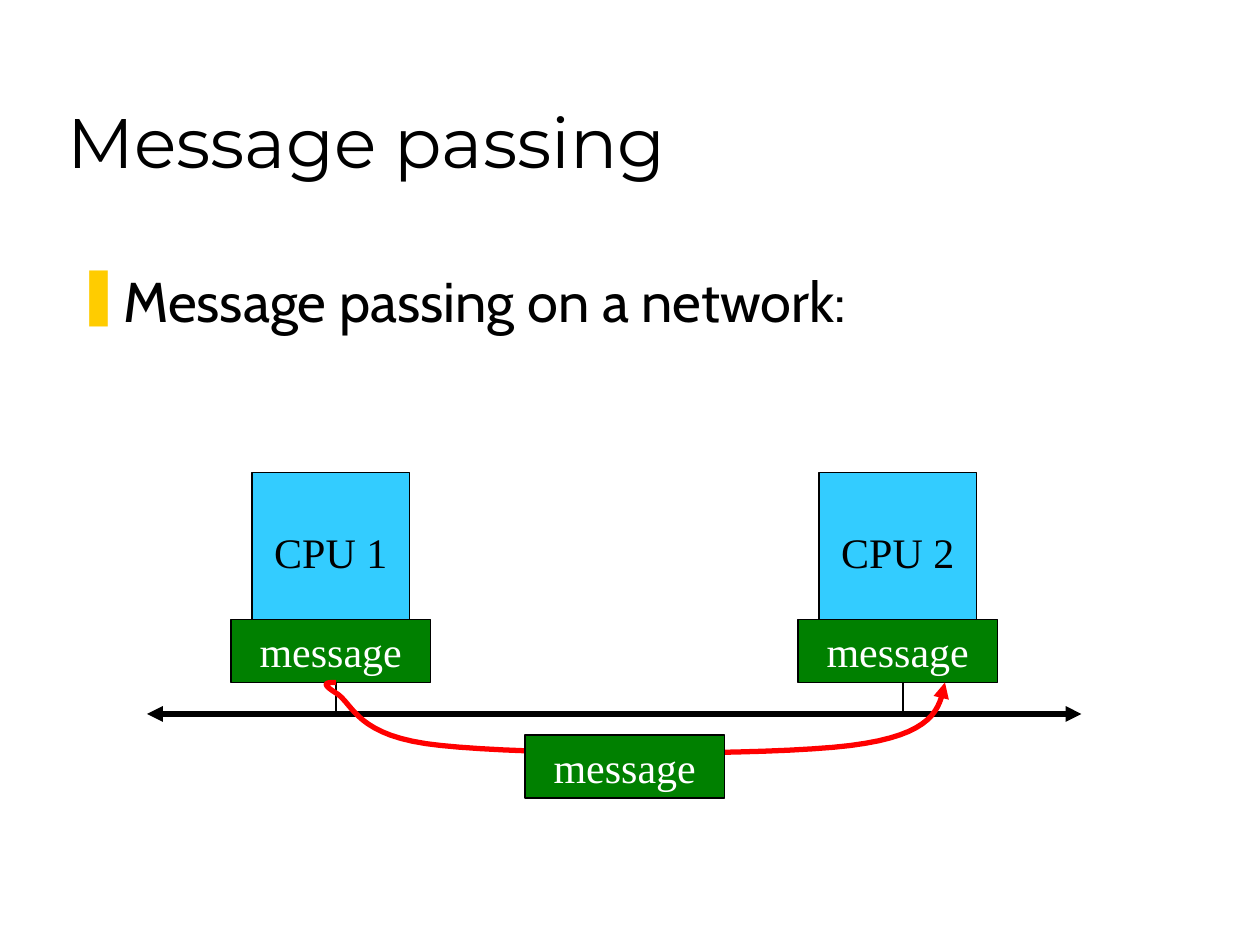
from lxml.etree import SubElement
from pptx import Presentation
from pptx.dml.color import RGBColor
from pptx.enum.shapes import MSO_CONNECTOR, MSO_SHAPE
from pptx.enum.text import MSO_ANCHOR, PP_ALIGN
from pptx.oxml.ns import qn
from pptx.util import Inches, Pt

COLORS = {
    "black": "000000",
    "white": "FFFFFF",
    "bullet": "FFCC00",
    "cpu": "33CCFF",
    "message": "008000",
    "route": "FF0000",
}
CELLS_PER_INCH = 12  # the slide is a grid of 120 columns by 90 rows
NODE_COLUMNS = (22, 76)  # left edge of each node's message box
BUS_ROW = 68
MESSAGE_SIZE = (19, 6)

# Route from message 1 to message 2: a start, then cubic curve segments
ROUTE_START = (32, 65)
ROUTE_CURVES = [
    ((31.2, 65), (30.4, 65), (32, 66)),
    ((33.7, 67), (33.8, 70.2), (42, 71)),
    ((50.2, 71.9), (73, 72), (81, 71)),
    ((89, 70), (89.5, 67.5), (90, 65)),
]
CURVE_STEPS = 16


def grid(*cells):
    return [Inches(cell / CELLS_PER_INCH) for cell in cells]


def color(name):
    return RGBColor.from_string(COLORS[name])


def add_run(paragraph, text, font, size, color_name):
    run = paragraph.add_run()
    run.text = text
    run.font.name = font
    run.font.size = Pt(size)
    run.font.color.rgb = color(color_name)


def add_text(slide, box, text, font, size, anchor):
    shape = slide.shapes.add_textbox(*grid(*box))
    frame = shape.text_frame
    frame.word_wrap = True
    frame.vertical_anchor = anchor
    paragraph = frame.paragraphs[0]
    add_run(paragraph, text, font, size, "black")
    return paragraph


def add_bullet(paragraph, character, color_name, indent):
    properties = paragraph._p.get_or_add_pPr()
    properties.set("marL", str(indent))
    properties.set("indent", str(-indent))
    bullet_color = SubElement(properties, qn("a:buClr"))
    SubElement(bullet_color, qn("a:srgbClr"), val=COLORS[color_name])
    SubElement(properties, qn("a:buChar"), char=character)


def add_box(slide, box, text, fill, text_color):
    shape = slide.shapes.add_shape(MSO_SHAPE.RECTANGLE, *grid(*box))
    shape.shadow.inherit = False
    shape.fill.solid()
    shape.fill.fore_color.rgb = color(fill)
    style_line(shape.line, "black", 0.75)
    frame = shape.text_frame
    frame.word_wrap = False
    frame.vertical_anchor = MSO_ANCHOR.MIDDLE
    paragraph = frame.paragraphs[0]
    paragraph.alignment = PP_ALIGN.CENTER
    add_run(paragraph, text, "Times New Roman", 24, text_color)


def add_message(slide, column, row):
    add_box(slide, (column, row, *MESSAGE_SIZE), "message", "message", "white")


def style_line(line, color_name, width, arrow_ends=()):
    line.color.rgb = color(color_name)
    line.width = Pt(width)
    for end in arrow_ends:
        SubElement(line._get_or_add_ln(), qn(f"a:{end}"), type="triangle")


def add_line(slide, start, end, width, arrow_ends=()):
    connector = slide.shapes.add_connector(
        MSO_CONNECTOR.STRAIGHT, *grid(*start, *end)
    )
    style_line(connector.line, "black", width, arrow_ends)
    SubElement(connector._element.spPr, qn("a:effectLst"))


def curve_points(start, curves):
    for first, second, end in curves:
        for step in range(1, CURVE_STEPS + 1):
            t = step / CURVE_STEPS
            u = 1 - t
            yield grid(*(
                u**3 * a + 3 * u**2 * t * b + 3 * u * t**2 * c + t**3 * d
                for a, b, c, d in zip(start, first, second, end)
            ))
        start = end


def add_route(slide):
    builder = slide.shapes.build_freeform(*grid(*ROUTE_START))
    builder.add_line_segments(curve_points(ROUTE_START, ROUTE_CURVES), close=False)
    shape = builder.convert_to_shape()
    shape.shadow.inherit = False
    shape.fill.background()
    style_line(shape.line, "route", 3, ["tailEnd"])


def main():
    presentation = Presentation()
    presentation.slide_width = Inches(10)
    presentation.slide_height = Inches(7.5)
    slide = presentation.slides.add_slide(presentation.slide_layouts[6])

    # Heading and bullet
    add_text(slide, (5.25, 3, 102, 15), "Message passing",
             "Montserrat", 40, MSO_ANCHOR.BOTTOM)
    bullet = add_text(slide, (6, 24.75, 107.25, 10.25),
                      "Message passing on a network:", "Cabin", 32, MSO_ANCHOR.TOP)
    add_bullet(bullet, "❚", "bullet", Inches(0.38))

    # Network bus
    add_line(slide, (14, BUS_ROW), (103, BUS_ROW), 3, ["headEnd", "tailEnd"])

    # Nodes: CPU, link to the bus, message
    for number, column in enumerate(NODE_COLUMNS, start=1):
        add_box(slide, (column + 2, 45, 15, 15), f"CPU {number}", "cpu", "black")
        add_line(slide, (column + 10, 60), (column + 10, BUS_ROW), 0.75)
        add_message(slide, column, 59)

    # Message on its way
    add_route(slide)
    add_message(slide, 50, 70)

    presentation.save("out.pptx")


if __name__ == "__main__":
    main()
